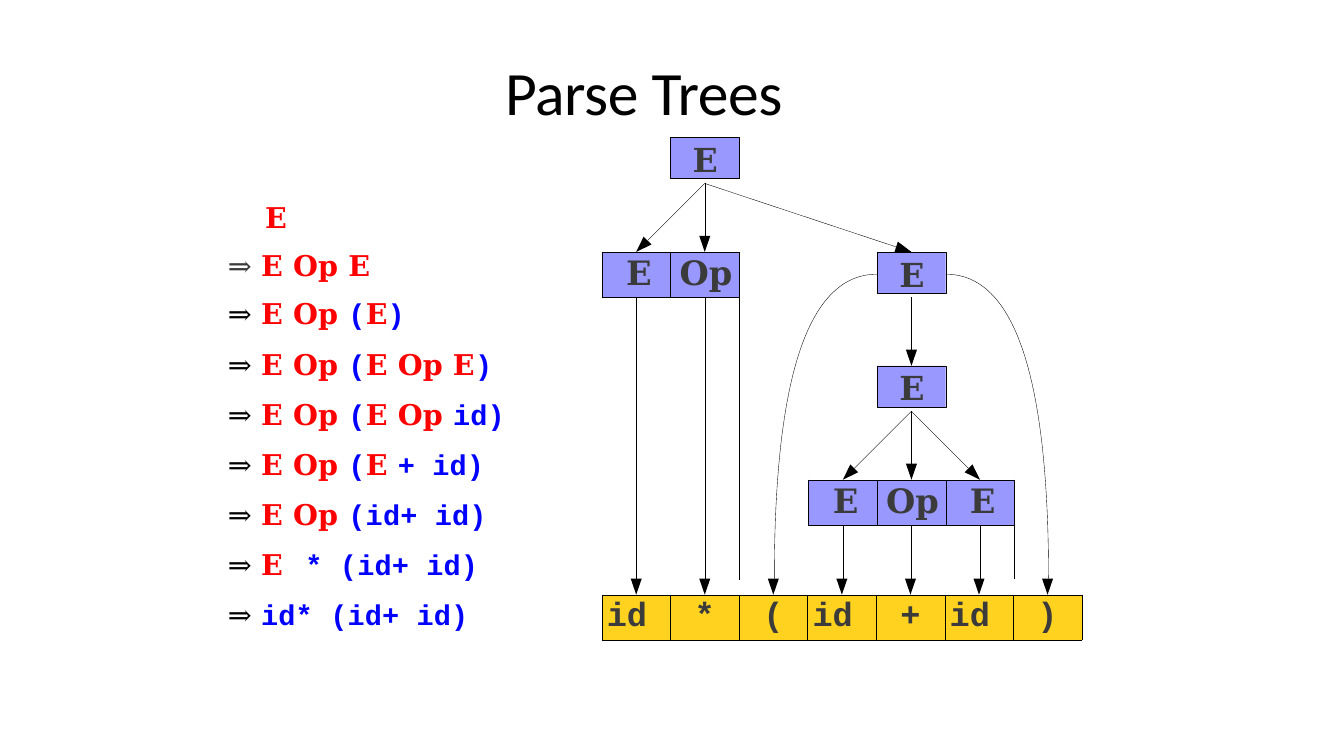
import dataclasses
import itertools
import math
import typing

import lxml.etree
import pptx
import pptx.dml.color
import pptx.enum.shapes
import pptx.enum.text
import pptx.oxml.ns
import pptx.util

Inches = pptx.util.Inches
Pt = pptx.util.Pt
qn = pptx.oxml.ns.qn
Point = tuple[float, float]

COLORS = {"black": "000000", "gray": "3B3B3B", "red": "FF0000",
          "blue": "0000FF", "violet": "9898FF", "gold": "FFD21F"}
SERIF, MONO = "DejaVu Serif", "Courier New"
HAIRLINE = 0.25
COLUMN = 0.68
ROW = 0.45
HEAD_LENGTH, HEAD_WIDTH = 0.16, 0.11
LEAF_TOP = 5.9
LEFT_X, OPERATOR_X, RIGHT_X = 6.31, 6.99, 9.04


@dataclasses.dataclass
class Node:
    left: float
    top: float


@dataclasses.dataclass
class Branch:
    start: Point
    tips: list[Point]


@dataclasses.dataclass
class NodeRow:
    left: float
    top: float
    stem: float
    labels: list[str]


@dataclasses.dataclass
class Step:
    symbols: list[str]
    before: float = 11.3
    arrow: str = "black"


NODES = [Node(6.65, 1.36), Node(8.7, 2.5), Node(8.7, 3.63)]
BRANCHES = [
    Branch((OPERATOR_X, 1.82), [(LEFT_X, 2.5), (OPERATOR_X, 2.5), (RIGHT_X, 2.5)]),
    Branch((RIGHT_X, 2.95), [(RIGHT_X, 3.63)]),
    Branch((RIGHT_X, 4.08), [(RIGHT_X + i * COLUMN, 4.76) for i in (-1, 0, 1)]),
]
NODE_ROWS = [NodeRow(5.97, 2.5, 2.8, ["E", "Op"]),
             NodeRow(8.02, 4.76, 0.53, ["E", "Op", "E"])]
LEAVES = ["id", "*", "(", "id", "+", "id", ")"]
STEPS = [
    Step(["E"], 10.9, ""),
    Step(["E Op E"], 10.1, "gray"),
    Step(["E Op ", "(", "E", ")"], 10.1),
    Step(["E Op ", "(", "E Op E", ")"]),
    Step(["E Op ", "(", "E Op ", "id)"]),
    Step(["E Op ", "(", "E ", "+ id)"]),
    Step(["E Op ", "(id+ id)"]),
    Step(["E\t", "* (id+ id)"]),
    Step(["", "id* (id+ id)"]),
]


def rgb(name: str) -> pptx.dml.color.RGBColor:
    return pptx.dml.color.RGBColor.from_string(COLORS[name])


def add_text(paragraph: typing.Any, text: str, *, size: float, font: str = SERIF,
             color: str = "gray", bold: bool = True, spacing: float = 0,
             indent: float = 0, before: float = 0) -> None:
    run = paragraph.add_run()
    run.text = text
    run.font.size, run.font.name, run.font.bold = Pt(size), font, bold
    run.font.color.rgb = rgb(color)
    if spacing:
        run.font._element.set("spc", str(round(spacing * 100)))
    if indent:
        paragraph._p.get_or_add_pPr().set("marL", str(Inches(indent)))
    if before:
        paragraph.space_before = Pt(before)


def set_margins(holder: typing.Any, top: float) -> None:
    holder.margin_left = holder.margin_right = holder.margin_bottom = 0
    holder.margin_top = Inches(top)


def add_box(slide: typing.Any, left: float, top: float, width: float,
            height: float, margin: float) -> typing.Any:
    frame = slide.shapes.add_textbox(*map(Inches, (left, top, width, height))).text_frame
    frame.word_wrap = True
    set_margins(frame, margin)
    return frame


def draw_outline(slide: typing.Any, points: list[Point], closed: bool) -> None:
    corners = [(Inches(x), Inches(y)) for x, y in points]
    builder = slide.shapes.build_freeform(*corners[0])
    builder.add_line_segments(corners[1:], close=closed)
    shape = builder.convert_to_shape()
    shape.shadow.inherit = False
    if closed:
        shape.fill.solid()
        shape.fill.fore_color.rgb = rgb("black")
        shape.line.fill.background()
    else:
        shape.fill.background()
        shape.line.color.rgb = rgb("black")
        shape.line.width = Pt(HAIRLINE)


def draw_head(slide: typing.Any, tip: Point, angle: float = math.pi / 2) -> Point:
    dx, dy = math.cos(angle), math.sin(angle)
    base = (tip[0] - HEAD_LENGTH * dx, tip[1] - HEAD_LENGTH * dy)
    half = HEAD_WIDTH / 2
    draw_outline(slide, [tip, (base[0] - half * dy, base[1] + half * dx),
                         (base[0] + half * dy, base[1] - half * dx)], True)
    return base


def draw_arrow(slide: typing.Any, start: Point, tip: Point) -> None:
    base = draw_head(slide, tip, math.atan2(tip[1] - start[1], tip[0] - start[0]))
    line = slide.shapes.add_connector(pptx.enum.shapes.MSO_CONNECTOR.STRAIGHT,
                                      *map(Inches, (*start, *base)))
    line.line.color.rgb = rgb("black")
    line.line.width = Pt(HAIRLINE)
    lxml.etree.SubElement(line._element.spPr, qn("a:effectLst"))


def draw_curve(slide: typing.Any, start: Point, end: Point) -> None:
    width, height = end[0] - start[0], end[1] - start[1]
    steps = [i / 40 for i in range(41)]
    draw_outline(slide, [(start[0] + width * (2 * t - t * t), start[1] + height * t * t)
                         for t in steps], False)


def draw_node(slide: typing.Any, node: Node) -> None:
    shape = slide.shapes.add_shape(pptx.enum.shapes.MSO_SHAPE.RECTANGLE,
                                   *map(Inches, (node.left, node.top, COLUMN, 0.41)))
    shape.shadow.inherit = False
    shape.fill.solid()
    shape.fill.fore_color.rgb = rgb("violet")
    shape.line.color.rgb = rgb("black")
    shape.line.width = Pt(HAIRLINE)
    frame = shape.text_frame
    frame.word_wrap = True
    frame.vertical_anchor = pptx.enum.text.MSO_ANCHOR.TOP
    set_margins(frame, 0.02)
    frame.paragraphs[0].alignment = pptx.enum.text.PP_ALIGN.LEFT
    add_text(frame.paragraphs[0], "E", size=23.6, indent=0.22, before=1.1)


def format_cell(cell: typing.Any, sides: str, fill: str = "", margin: float = 0) -> None:
    set_margins(cell, margin)
    properties = cell._tc.get_or_add_tcPr()
    for side in "LRTB":
        border = lxml.etree.SubElement(properties, qn(f"a:ln{side}"), w=str(Pt(HAIRLINE)))
        if side in sides:
            paint = lxml.etree.SubElement(border, qn("a:solidFill"))
            lxml.etree.SubElement(paint, qn("a:srgbClr"), val=COLORS["black"])
        else:
            lxml.etree.SubElement(border, qn("a:noFill"))
    if fill:
        cell.fill.solid()
        cell.fill.fore_color.rgb = rgb(fill)
    else:
        cell.fill.background()


def add_grid(slide: typing.Any, left: float, top: float, heights: list[float],
             count: int, width: float) -> typing.Any:
    table = slide.shapes.add_table(len(heights), count, *map(
        Inches, (left, top, count * width, sum(heights)))).table
    table.first_row = table.horz_banding = False
    for column in table.columns:
        column.width = Inches(width)
    for row, height in zip(table.rows, heights):
        row.height = Inches(height)
    return table


def draw_node_row(slide: typing.Any, row: NodeRow) -> None:
    last = 2 * len(row.labels) - 1
    table = add_grid(slide, row.left, row.top, [ROW, row.stem], last + 1, COLUMN / 2)
    for index, label in enumerate(row.labels):
        cell = table.cell(0, 2 * index)
        cell.merge(table.cell(0, 2 * index + 1))
        format_cell(cell, "LRTB", "violet", 0.02)
        add_text(cell.text_frame.paragraphs[0], label, size=24,
                 indent=0.24 if label == "E" else 0.09, before=1.2)
    for column in [0, *range(1, last, 2), last]:
        cell = table.cell(1, column)
        if 0 < column < last:
            cell.merge(table.cell(1, column + 1))
        format_cell(cell, "LRT" if column else "RT")


def draw_leaves(slide: typing.Any) -> None:
    table = add_grid(slide, 5.97, LEAF_TOP, [ROW], len(LEAVES), COLUMN)
    for index, leaf in enumerate(LEAVES):
        cell = table.cell(0, index)
        format_cell(cell, "LRTB", "gold")
        paragraph = cell.text_frame.paragraphs[0]
        paragraph.line_spacing = Pt(30.2)
        if leaf == "id":
            add_text(paragraph, leaf, size=24, font=MONO, spacing=-0.1, indent=0.05)
        else:
            paragraph.alignment = pptx.enum.text.PP_ALIGN.CENTER
            add_text(paragraph, leaf, size=24, font=MONO)
        draw_head(slide, (LEFT_X + index * COLUMN, LEAF_TOP))


def draw_derivation(slide: typing.Any) -> None:
    frame = add_box(slide, 2.25, 1.83, 3.3, 4.45, 0.15)
    for index, step in enumerate(STEPS):
        paragraph = frame.add_paragraph() if index else frame.paragraphs[0]
        layout = {"size": 20.4, "spacing": 0.1, "before": step.before,
                  "indent": 0.01 if step.arrow else 0.38}
        if step.arrow:
            add_text(paragraph, "⇒ ", color=step.arrow, bold=False, **layout)
        styles = itertools.cycle([(SERIF, "red"), (MONO, "blue")])
        for symbol, (font, color) in zip(step.symbols, styles):
            if symbol:
                add_text(paragraph, symbol, font=font, color=color, **layout)
        if "E\t" in step.symbols:
            stops = lxml.etree.SubElement(paragraph._p.get_or_add_pPr(), qn("a:tabLst"))
            lxml.etree.SubElement(stops, qn("a:tab"), pos=str(Inches(0.77)), algn="l")


def main() -> None:
    presentation = pptx.Presentation()
    presentation.slide_width, presentation.slide_height = Inches(13.33), Inches(7.5)
    slide = presentation.slides.add_slide(presentation.slide_layouts[6])
    title = add_box(slide, 5, 0.52, 3.33, 0.75, 0.01)
    title.vertical_anchor = pptx.enum.text.MSO_ANCHOR.MIDDLE
    add_text(title.paragraphs[0], "Parse Trees", size=44, font="Calibri", color="black",
             bold=False, spacing=-0.3, indent=0.01, before=0.9)
    draw_derivation(slide)
    for node in NODES:
        draw_node(slide, node)
    for branch in BRANCHES:
        for tip in branch.tips:
            draw_arrow(slide, branch.start, tip)
    for start, end in [(8.7, 7.68), (9.38, 10.4)]:
        draw_curve(slide, (start, 2.72), (end, LEAF_TOP - HEAD_LENGTH))
    for row in NODE_ROWS:
        draw_node_row(slide, row)
    draw_leaves(slide)
    presentation.save("out.pptx")


if __name__ == "__main__":
    main()
